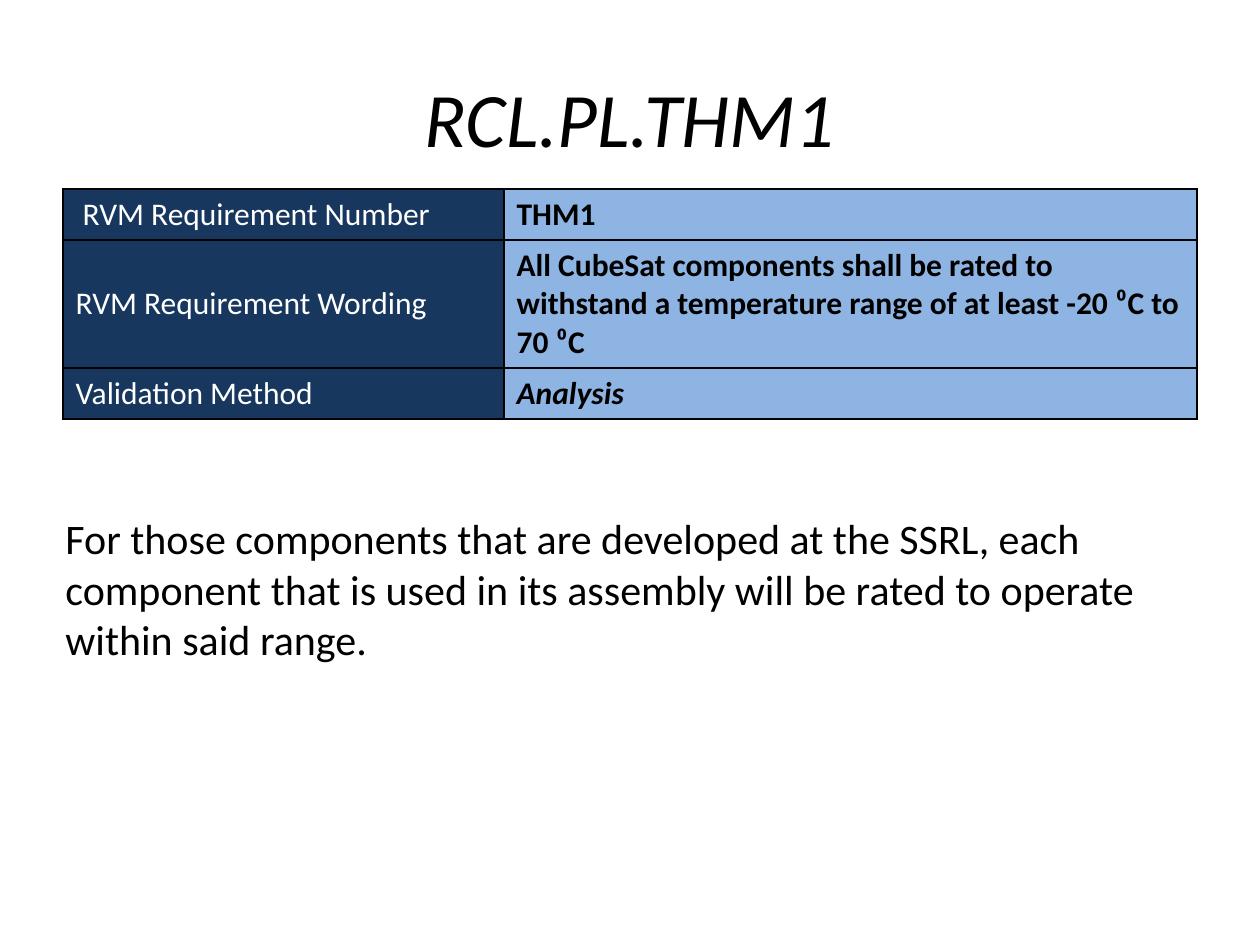
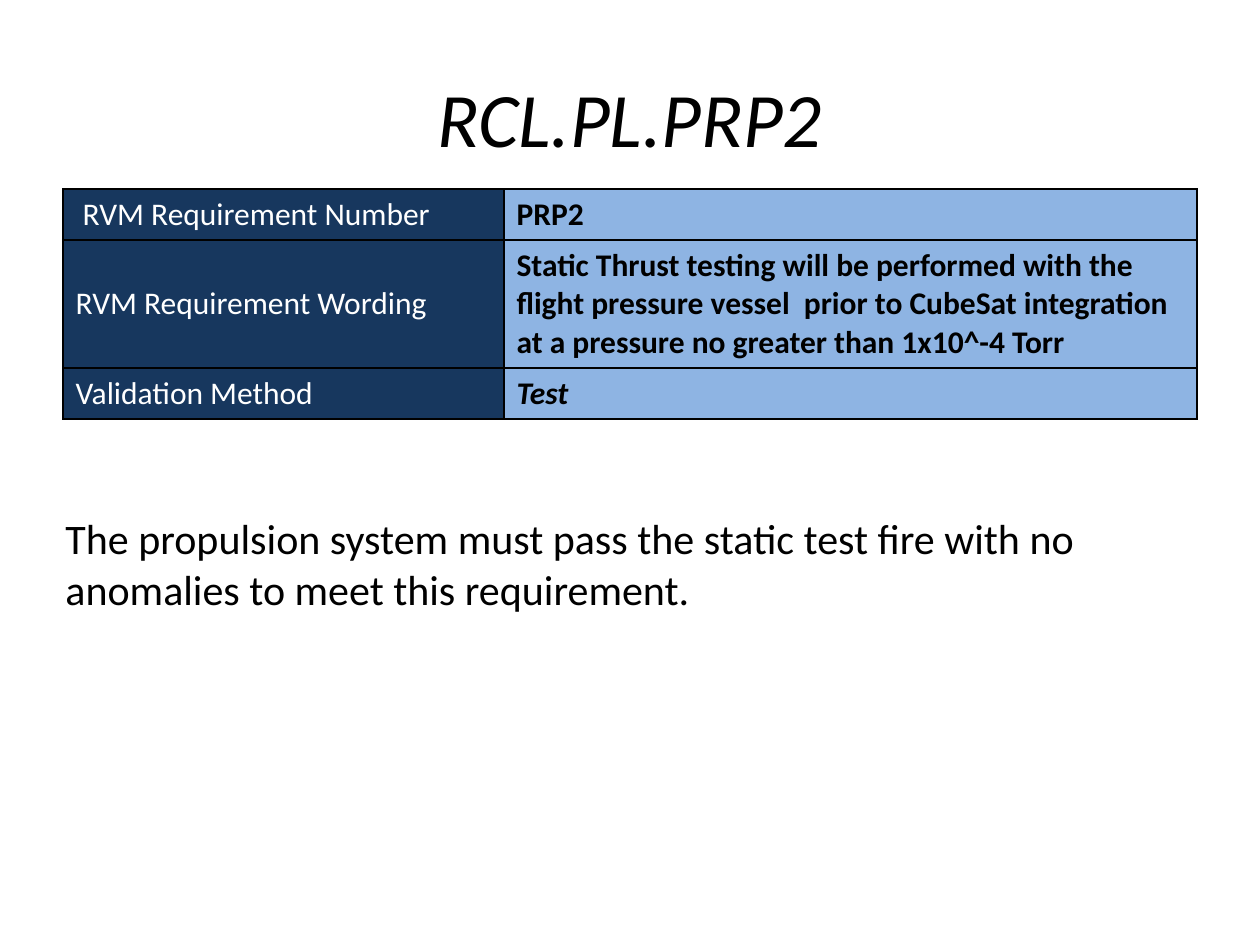
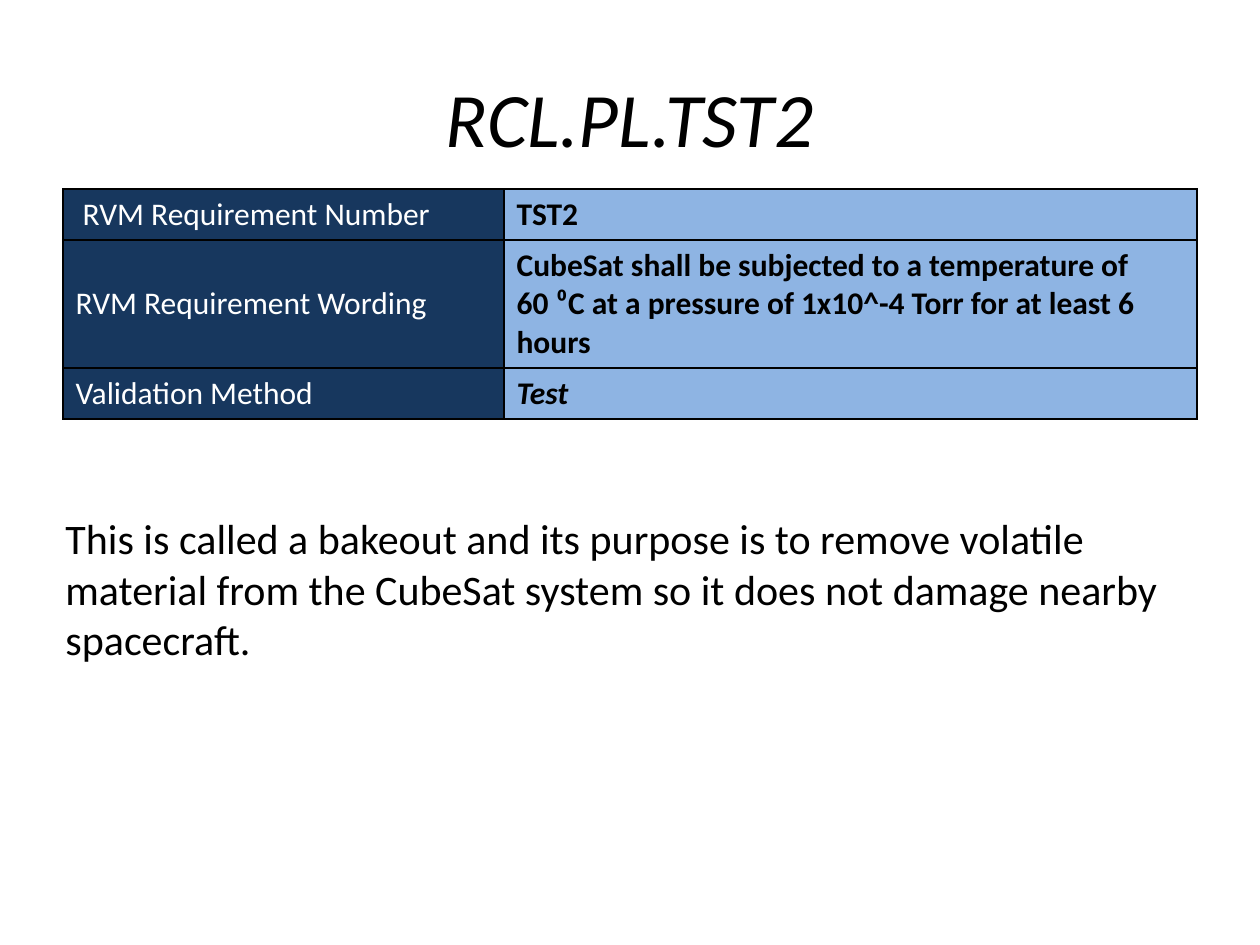
from dataclasses import dataclass

from lxml.etree import SubElement
from pptx import Presentation
from pptx.dml.color import RGBColor
from pptx.enum.text import MSO_ANCHOR, MSO_AUTO_SIZE, PP_ALIGN
from pptx.oxml.ns import qn
from pptx.util import Cm, Pt


@dataclass(frozen=True)
class Theme:
    font: str = "Calibri"
    title_size: int = 44
    body_size: int = 24
    table_size: int = 18
    border_width: int = 1
    ink: str = "000000"
    label_ink: str = "FFFFFF"
    label_fill: str = "17375E"
    value_fill: str = "8EB4E3"
    background: str = "FFFFFF"


THEME = Theme()

# Table grid, in centimetres
LEFT, WIDTH = 1.27, 22.86
COLUMNS = (8.89, 13.97)
ROWS = (1.03, 2.58, 1.03)
LABELS = (" RVM Requirement Number", "RVM Requirement Wording", "Validation Method")

# Title, requirement number, wording, validation method, note, note height
REQUIREMENTS = (
    ("RCL.PL.THM1", "THM1",
     "All CubeSat components shall be rated to withstand a temperature range "
     "of at least -20 ⁰C to 70 ⁰C",
     "Analysis",
     "For those components that are developed at the SSRL, each component that "
     "is used in its assembly will be rated to operate within said range.", 3.33),
    ("RCL.PL.PRP2", "PRP2",
     "Static Thrust testing will be performed with the flight pressure vessel  "
     "prior to CubeSat integration at a pressure no greater than 1x10^-4 Torr",
     "Test",
     "The propulsion system must pass the static test fire with no anomalies "
     "to meet this requirement.", 2.31),
    ("RCL.PL.TST2", "TST2",
     "CubeSat shall be subjected to a temperature of\v60 ⁰C at a pressure of "
     "1x10^-4 Torr for at least 6 hours",
     "Test",
     "This is called a bakeout and its purpose is to remove volatile material "
     "from the CubeSat system so it does not damage nearby spacecraft.", 3.33),
)


def write(tf, text, size, color=THEME.ink, bold=False, italic=False,
          align=PP_ALIGN.LEFT):
    """Fill a text frame with one formatted paragraph."""
    p = tf.paragraphs[0]
    p.text = text
    p.alignment = align
    for r in p.runs:
        r.font.name = THEME.font
        r.font.size = Pt(size)
        r.font.bold = bold
        r.font.italic = italic
        r.font.color.rgb = RGBColor.from_string(color)


def add_title(s, text):
    sp = s.shapes.title
    sp.left, sp.top, sp.width, sp.height = Cm(LEFT), Cm(0.76), Cm(WIDTH), Cm(3.18)
    sp.text_frame.vertical_anchor = MSO_ANCHOR.MIDDLE
    write(sp.text_frame, text, THEME.title_size, italic=True, align=PP_ALIGN.CENTER)


def set_borders(cell):
    tc_pr = cell._tc.get_or_add_tcPr()
    for side in ("lnL", "lnR", "lnT", "lnB"):
        ln = SubElement(tc_pr, qn(f"a:{side}"), w=str(Pt(THEME.border_width)))
        fill = SubElement(ln, qn("a:solidFill"))
        SubElement(fill, qn("a:srgbClr"), val=THEME.ink)


def format_cell(cell, text, fill, anchor=MSO_ANCHOR.TOP, **text_format):
    set_borders(cell)
    cell.fill.solid()
    cell.fill.fore_color.rgb = RGBColor.from_string(fill)
    cell.vertical_anchor = anchor
    write(cell.text_frame, text, THEME.table_size, **text_format)


def add_requirement_table(s, values):
    table = s.shapes.add_table(len(ROWS), len(COLUMNS), Cm(LEFT), Cm(3.81),
                               Cm(WIDTH), Cm(sum(ROWS))).table
    table.first_row = table.horz_banding = False
    for column, width in zip(table.columns, COLUMNS):
        column.width = Cm(width)
    for i, (label, value) in enumerate(zip(LABELS, values)):
        table.rows[i].height = Cm(ROWS[i])
        format_cell(table.cell(i, 0), label, THEME.label_fill,
                    anchor=MSO_ANCHOR.MIDDLE, color=THEME.label_ink)
        # The validation method closes the table in italics
        format_cell(table.cell(i, 1), value, THEME.value_fill,
                    bold=True, italic=i == len(ROWS) - 1)


def add_note(s, text, height):
    sp = s.shapes.add_textbox(Cm(1.07), Cm(10.21), Cm(23.06), Cm(height))
    tf = sp.text_frame
    tf.word_wrap = True
    tf.auto_size = MSO_AUTO_SIZE.SHAPE_TO_FIT_TEXT
    write(tf, text, THEME.body_size)


def main():
    prs = Presentation()
    prs.slide_width, prs.slide_height = Cm(25.4), Cm(19.05)

    # Background shared by every slide
    background = prs.slide_master.background.fill
    background.solid()
    background.fore_color.rgb = RGBColor.from_string(THEME.background)

    # One slide per requirement
    for title, number, wording, method, note, note_height in REQUIREMENTS:
        s = prs.slides.add_slide(prs.slide_layouts[5])
        add_title(s, title)
        add_requirement_table(s, (number, wording, method))
        add_note(s, note, note_height)

    prs.save("out.pptx")


if __name__ == "__main__":
    main()
